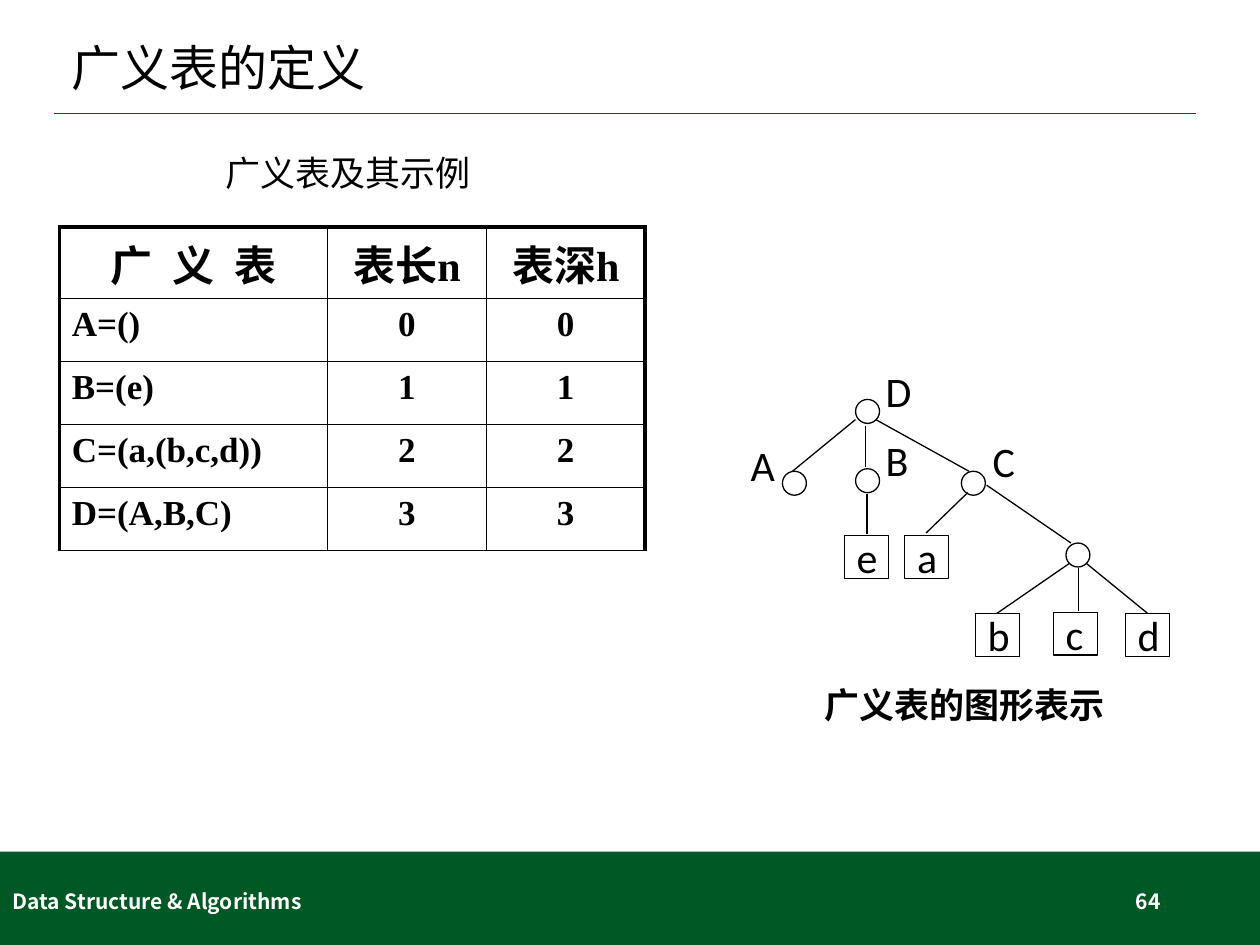
from lxml import etree
from pptx import Presentation
from pptx.dml.color import RGBColor
from pptx.enum.shapes import MSO_CONNECTOR, MSO_SHAPE
from pptx.enum.text import MSO_ANCHOR, PP_ALIGN
from pptx.oxml.ns import qn
from pptx.util import Inches, Pt

LEFT, CENTER, RIGHT = PP_ALIGN.LEFT, PP_ALIGN.CENTER, PP_ALIGN.RIGHT
TOP, MIDDLE = MSO_ANCHOR.TOP, MSO_ANCHOR.MIDDLE
RECTANGLE, OVAL = MSO_SHAPE.RECTANGLE, MSO_SHAPE.OVAL
STRAIGHT = MSO_CONNECTOR.STRAIGHT

COLORS = {"green": "005825", "black": "000000", "white": "FFFFFF"}
LATIN, CHINESE, SERIF = "Calibri", "Noto Sans CJK SC", "Times New Roman"
BOX_WIDTH, BOX_HEIGHT, CIRCLE_SIZE = 0.35, 0.34, 0.19
THICK, THIN = 2.25, 1

TABLE_ROWS = [
    ("广 义 表", "表长n", "表深h"),
    ("A=()", "0", "0"),
    ("B=(e)", "1", "1"),
    ("C=(a,(b,c,d))", "2", "2"),
    ("D=(A,B,C)", "3", "3"),
]
COLUMN_WIDTHS = (2.13, 1.26, 1.26)
ROW_HEIGHTS = (0.57, 0.5, 0.5, 0.5, 0.5)

ATOMS = {"a": (7.18, 4.25), "b": (7.74, 4.87), "e": (6.7, 4.25),
         "c": (8.36, 4.86), "d": (8.93, 4.87)}
LIST_LABELS = {"A": (5.86, 3.52), "B": (6.93, 3.48), "C": (7.78, 3.49), "D": (6.93, 2.93)}
LIST_NODES = [(6.21, 3.74), (6.79, 3.72), (7.63, 3.74), (8.46, 4.31), (6.79, 3.17)]
EDGES = [
    ((6.87, 3.38), (6.87, 3.71)), ((6.79, 3.33), (6.29, 3.74)),
    ((6.95, 3.33), (7.69, 3.74)), ((6.88, 3.92), (6.88, 4.24)),
    ((7.68, 3.91), (7.35, 4.23)), ((7.83, 3.85), (8.5, 4.31)),
    ((8.49, 4.47), (7.91, 4.87)), ((8.56, 4.51), (8.56, 4.85)),
    ((8.62, 4.47), (9.11, 4.87)),
]


class SlideBuilder:
    """Hold the current slide and its style, and add each kind of element."""

    def __init__(self, slide):
        self.slide = slide

    def color(self, name):
        return RGBColor.from_string(COLORS[name])

    def set_text(self, text_frame, text, size, font=LATIN, color="black",
                 bold=False, align=LEFT):
        text_frame.text = text
        paragraph = text_frame.paragraphs[0]
        paragraph.alignment = align
        paragraph.font.size = Pt(size)
        paragraph.font.name = font
        paragraph.font.bold = bold
        paragraph.font.color.rgb = self.color(color)
        return paragraph

    def title(self, text, left, top, width, height):
        shape = self.slide.shapes.title
        shape.left, shape.top = Inches(left), Inches(top)
        shape.width, shape.height = Inches(width), Inches(height)
        shape.text_frame.vertical_anchor = MIDDLE
        self.set_text(shape.text_frame, text, 28).line_spacing = 0.9

    def text(self, text, left, top, width, height, size, wrap=True, anchor=MIDDLE, **style):
        shape = self.slide.shapes.add_textbox(
            Inches(left), Inches(top), Inches(width), Inches(height))
        shape.text_frame.word_wrap = wrap
        shape.text_frame.vertical_anchor = anchor
        self.set_text(shape.text_frame, text, size, **style)

    def shape(self, kind, left, top, width, height, fill=None, line=None):
        shape = self.slide.shapes.add_shape(
            kind, Inches(left), Inches(top), Inches(width), Inches(height))
        shape.shadow.inherit = False
        if fill:
            shape.fill.solid()
            shape.fill.fore_color.rgb = self.color(fill)
        else:
            shape.fill.background()
        if line:
            shape.line.color.rgb = self.color(line)
            shape.line.width = Pt(0.75)
        else:
            shape.line.fill.background()
        return shape

    def atom(self, label, left, top):
        shape = self.shape(RECTANGLE, left, top, BOX_WIDTH, BOX_HEIGHT, line="black")
        shape.text_frame.word_wrap = False
        shape.text_frame.vertical_anchor = MIDDLE
        self.set_text(shape.text_frame, label, 24)

    def line(self, start, end, color="black", width=0.75):
        connector = self.slide.shapes.add_connector(
            STRAIGHT, *(Inches(value) for value in (*start, *end)))
        connector.line.color.rgb = self.color(color)
        connector.line.width = Pt(width)
        etree.SubElement(connector._element.spPr, qn("a:effectLst"))

    def border(self, cell, side, width):
        line = etree.SubElement(cell._tc.get_or_add_tcPr(), qn(f"a:ln{side}"), w=str(Pt(width)))
        fill = etree.SubElement(line, qn("a:solidFill"))
        etree.SubElement(fill, qn("a:srgbClr"), val=COLORS["black"])

    def table(self, rows, left, top, column_widths, row_heights):
        table = self.slide.shapes.add_table(
            len(rows), len(column_widths), Inches(left), Inches(top),
            Inches(sum(column_widths)), Inches(sum(row_heights))).table
        table.first_row = table.horz_banding = False
        for column, width in zip(table.columns, column_widths):
            column.width = Inches(width)
        last = len(column_widths) - 1
        for row_index, row in enumerate(rows):
            table.rows[row_index].height = Inches(row_heights[row_index])
            header = row_index == 0
            for column_index, text in enumerate(row):
                cell = table.cell(row_index, column_index)
                self.border(cell, "L", THICK if column_index == 0 else THIN)
                self.border(cell, "R", THICK if column_index == last else THIN)
                self.border(cell, "T", THICK if header else THIN)
                self.border(cell, "B", THIN)
                cell.fill.background()
                cell.vertical_anchor = MIDDLE if header else TOP
                self.set_text(cell.text_frame, text, 24 if header else 20, SERIF, bold=True,
                              align=CENTER if header or column_index else LEFT)
        heading = table.cell(0, 0).text_frame.paragraphs[0].runs[0]
        heading.font._element.set("spc", "300")


def main():
    presentation = Presentation()
    presentation.slide_width, presentation.slide_height = Inches(10), Inches(7.5)
    slide = presentation.slides.add_slide(presentation.slide_layouts[5])
    builder = SlideBuilder(slide)

    builder.shape(RECTANGLE, 0, 6.76, 10, 0.74, fill="green")
    builder.line((0.43, 0.9), (9.49, 0.9), "green", 1)
    builder.title("广义表的定义", 0.47, 0.23, 9.06, 0.66)
    footer_style = {"size": 12, "font": CHINESE, "color": "white", "bold": True}
    builder.text("64", 7.06, 6.95, 2.25, 0.4, align=RIGHT, **footer_style)
    builder.text("Data Structure & Algorithms", 0, 6.95, 3.38, 0.4, **footer_style)

    builder.table(TABLE_ROWS, 0.47, 1.8, COLUMN_WIDTHS, ROW_HEIGHTS)
    builder.text("广义表及其示例", 1.69, 1.15, 2.17, 0.44, 20,
                 wrap=False, anchor=TOP, font=CHINESE)

    for label, position in ATOMS.items():
        builder.atom(label, *position)
    for label, position in LIST_LABELS.items():
        builder.text(label, *position, BOX_WIDTH, BOX_HEIGHT, 24, wrap=False)
    for position in LIST_NODES:
        builder.shape(OVAL, *position, CIRCLE_SIZE, CIRCLE_SIZE, line="black")
    for start, end in EDGES:
        builder.line(start, end)
    builder.text("广义表的图形表示", 5.78, 5.38, 3.75, 0.42, 20,
                 font=CHINESE, bold=True, align=CENTER)

    presentation.save("out.pptx")


if __name__ == "__main__":
    main()
